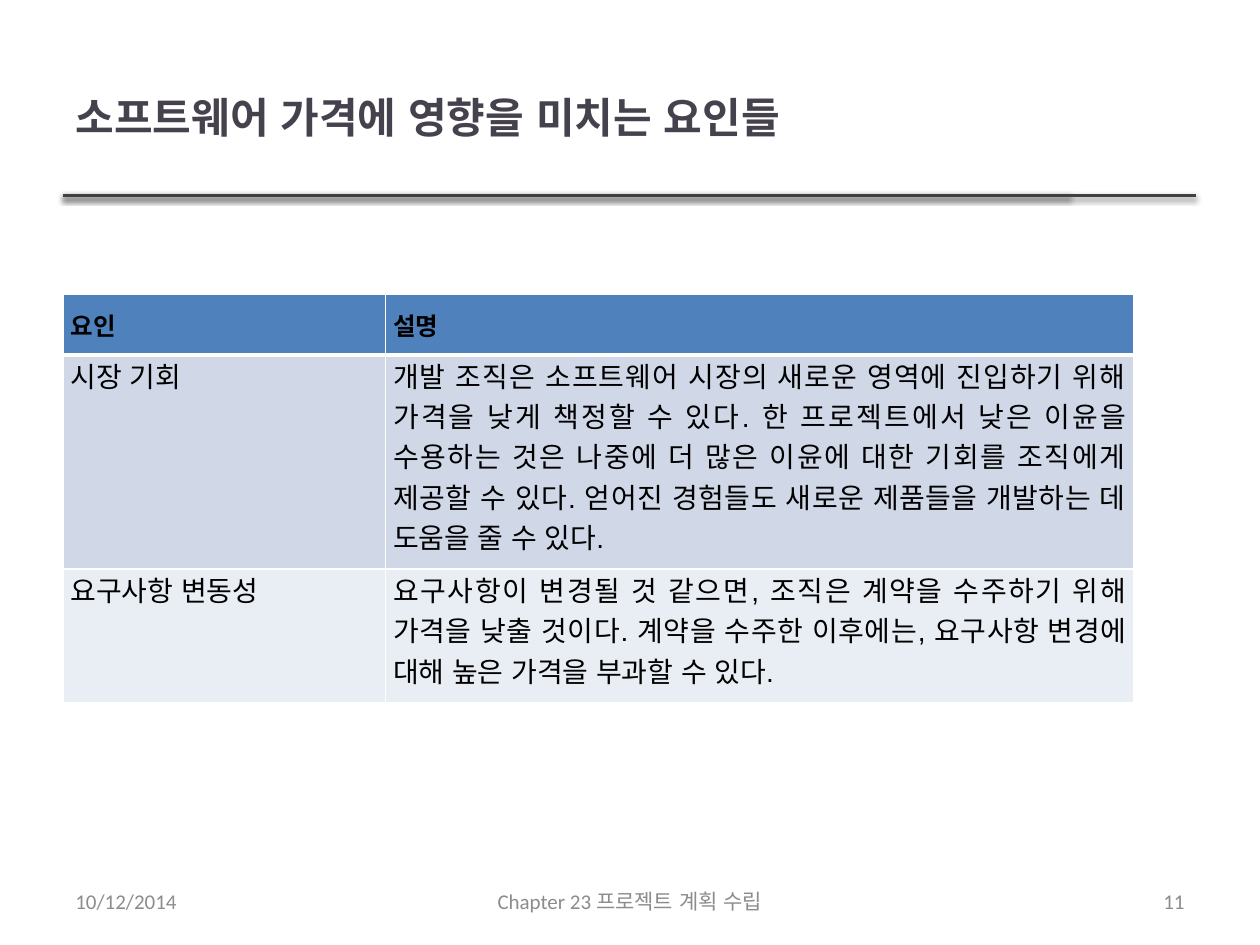
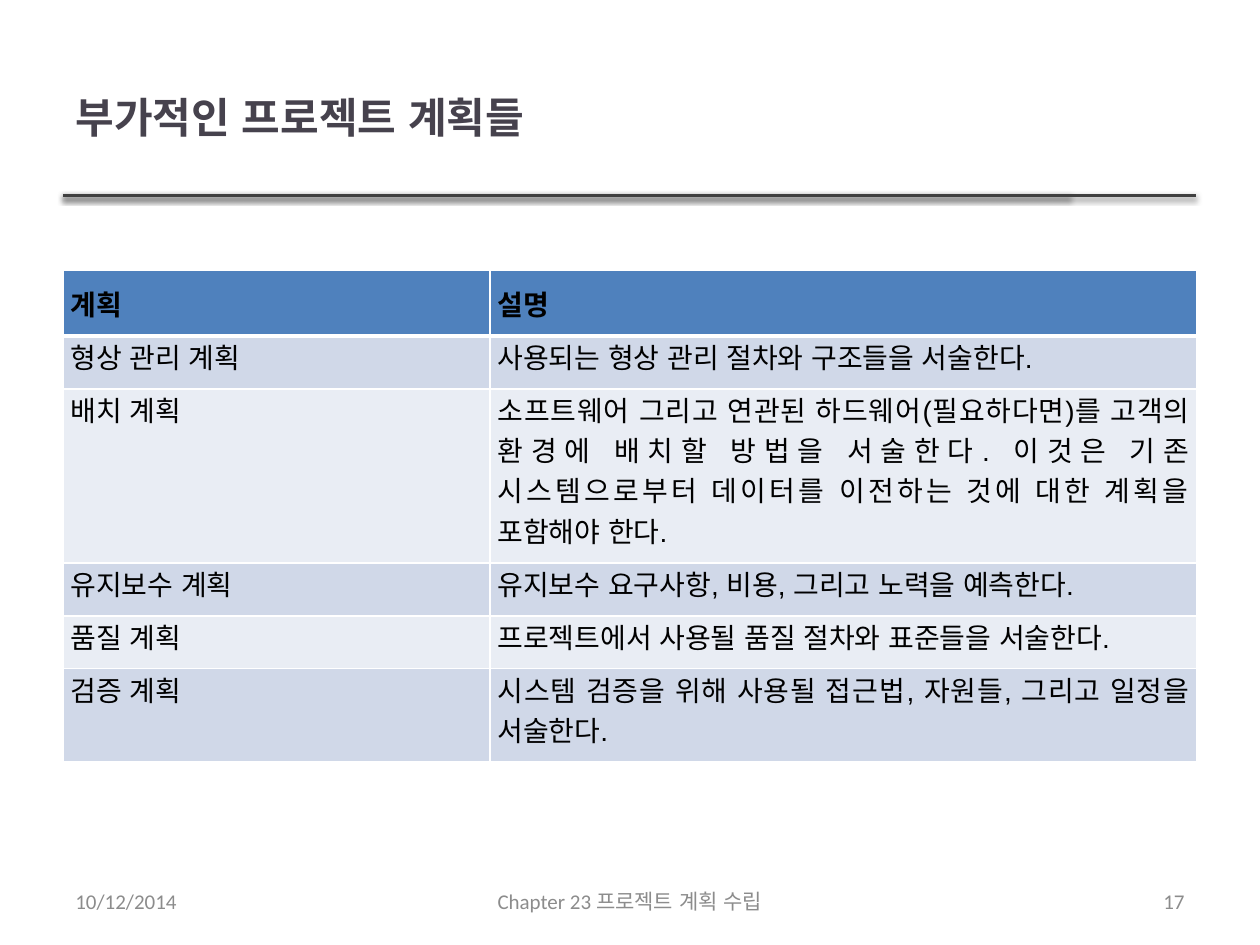
from lxml import etree
from pptx import Presentation, util as u
from pptx.dml.color import RGBColor
from pptx.enum import lang, shapes, text
from pptx.oxml import ns

COLORS = {
    "title": "46424D", "rule": "404040", "footer": "8C8C8C", "body": "000000",
    "header": "4F81BD", "odd": "D0D8E8", "even": "E9EDF4",
    "border": "FFFFFF", "shadow": "000000",
}
WIDTH, HEIGHT = u.Inches(10), u.Inches(7.5)
MARGIN = 0.05          # share of the slide's width
RULE_Y = 1.55 / 7.5    # share of the slide's height
ALIGN = text.PP_ALIGN

FACTORS = [
    ("요인", "설명"),
    ("시장 기회",
     "개발 조직은 소프트웨어 시장의 새로운 영역에 진입하기 위해 가격을 낮게 책정할 수 있다. "
     "한 프로젝트에서 낮은 이윤을 수용하는 것은 나중에 더 많은 이윤에 대한 기회를 조직에게 "
     "제공할 수 있다. 얻어진 경험들도 새로운 제품들을 개발하는 데 도움을 줄 수 있다."),
    ("요구사항 변동성",
     "요구사항이 변경될 것 같으면, 조직은 계약을 수주하기 위해 가격을 낮출 것이다. "
     "계약을 수주한 이후에는, 요구사항 변경에 대해 높은 가격을 부과할 수 있다."),
]
PLANS = [
    ("계획", "설명"),
    ("형상 관리 계획", "사용되는 형상 관리 절차와 구조들을 서술한다."),
    ("배치 계획",
     "소프트웨어 그리고 연관된 하드웨어(필요하다면)를 고객의 환경에 배치할 방법을 서술한다. "
     "이것은 기존 시스템으로부터 데이터를 이전하는 것에 대한 계획을 포함해야 한다."),
    ("유지보수 계획", "유지보수 요구사항, 비용, 그리고 노력을 예측한다."),
    ("품질 계획", "프로젝트에서 사용될 품질 절차와 표준들을 서술한다."),
    ("검증 계획", "시스템 검증을 위해 사용될 접근법, 자원들, 그리고 일정을 서술한다."),
]


def across(share):
    return u.Emu(round(WIDTH * share))


def down(share):
    return u.Emu(round(HEIGHT * share))


def write(frame, words, size, color="body", font="Arial", bold=False, align=ALIGN.LEFT):
    """Put one formatted paragraph into a text frame."""
    frame.word_wrap = True
    para = frame.paragraphs[0]
    para.alignment = align
    span = para.add_run()
    span.text = words
    span.font.name, span.font.size, span.font.bold = font, u.Pt(size), bold
    span.font.color.rgb = RGBColor.from_string(COLORS[color])
    span.font.language_id = lang.MSO_LANGUAGE_ID.KOREAN


def add_xml(parent, tag, **attributes):
    return etree.SubElement(parent, ns.qn(tag), attributes)


# Shared slide parts
def add_rule(page, right):
    rule = page.shapes.add_connector(
        shapes.MSO_CONNECTOR.STRAIGHT, across(MARGIN), down(RULE_Y), across(right), down(RULE_Y))
    rule.line.width = u.Pt(2)
    rule.line.color.rgb = RGBColor.from_string(COLORS["rule"])
    effects = add_xml(rule._element.spPr, "a:effectLst")
    shadow = add_xml(effects, "a:outerShdw", blurRad=str(u.Pt(3.1)), dist=str(u.Pt(1.6)),
                     dir="5400000", rotWithShape="0")
    color = add_xml(shadow, "a:srgbClr", val=COLORS["shadow"])
    add_xml(color, "a:alpha", val="38000")


def add_title(page, words):
    title = page.shapes.title
    title.left, title.top = across(MARGIN), down(0.04)
    title.width, title.height = across(0.8), down(RULE_Y - 0.04)
    title.text_frame.vertical_anchor = text.MSO_ANCHOR.MIDDLE
    write(title.text_frame, words, 24, color="title", bold=True)


def add_footer(page, number):
    side, middle = 0.233, 0.317
    parts = [
        (MARGIN, side, "10/12/2014", ALIGN.LEFT),
        ((1 - middle) / 2, middle, "Chapter 23 프로젝트 계획 수립", ALIGN.CENTER),
        (1 - MARGIN - side, side, str(number), ALIGN.RIGHT),
    ]
    for left, width, words, align in parts:
        box = page.shapes.add_textbox(across(left), down(0.927), across(width), down(0.053))
        box.text_frame.vertical_anchor = text.MSO_ANCHOR.MIDDLE
        write(box.text_frame, words, 12, color="footer", font="Calibri", align=align)


# Tables
def add_borders(cell, top, bottom):
    properties = cell._tc.get_or_add_tcPr()
    for side, points in (("L", 1), ("R", 1), ("T", top), ("B", bottom)):
        line = add_xml(properties, f"a:ln{side}", w=str(u.Pt(points)))
        add_xml(add_xml(line, "a:solidFill"), "a:srgbClr", val=COLORS["border"])


def fill_cell(cell, words, row, column, header_size):
    is_header = row == 0
    cell.margin_left = cell.margin_right = u.Inches(0.06)
    cell.margin_top = u.Inches(0.1 if is_header else 0)
    cell.margin_bottom = u.Inches(0.1)
    add_borders(cell, top=3 if row == 1 else 1, bottom=3 if is_header else 1)
    cell.fill.solid()
    band = "header" if is_header else "odd" if row % 2 else "even"
    cell.fill.fore_color.rgb = RGBColor.from_string(COLORS[band])
    write(cell.text_frame, words, header_size if is_header else 16, bold=is_header,
          align=ALIGN.JUSTIFY if is_header or column else ALIGN.LEFT)


def add_grid(page, rows, top, columns, header_size):
    row_height = down(0.055)
    table = page.shapes.add_table(len(rows), len(columns), across(MARGIN), down(top),
                                  across(sum(columns)), row_height * len(rows)).table
    for column, share in zip(table.columns, columns):
        column.width = across(share)
    for r, entries in enumerate(rows):
        table.rows[r].height = row_height
        for c, words in enumerate(entries):
            fill_cell(table.cell(r, c), words, r, c, header_size)


def add_page(deck, title, number, rows, top, columns, header_size):
    page = deck.slides.add_slide(deck.slide_layouts[5])
    for right in (0.849, 0.949):
        add_rule(page, right)
    add_title(page, title)
    add_grid(page, rows, top, columns, header_size)
    add_footer(page, number)


def main():
    deck = Presentation()
    deck.slide_width, deck.slide_height = WIDTH, HEIGHT
    add_page(deck, "소프트웨어 가격에 영향을 미치는 요인들", 11, FACTORS,
             top=0.311, columns=(0.256, 0.594), header_size=14)
    add_page(deck, "부가적인 프로젝트 계획들", 17, PLANS,
             top=0.286, columns=(0.339, 0.561), header_size=16)
    deck.save("out.pptx")


if __name__ == "__main__":
    main()
